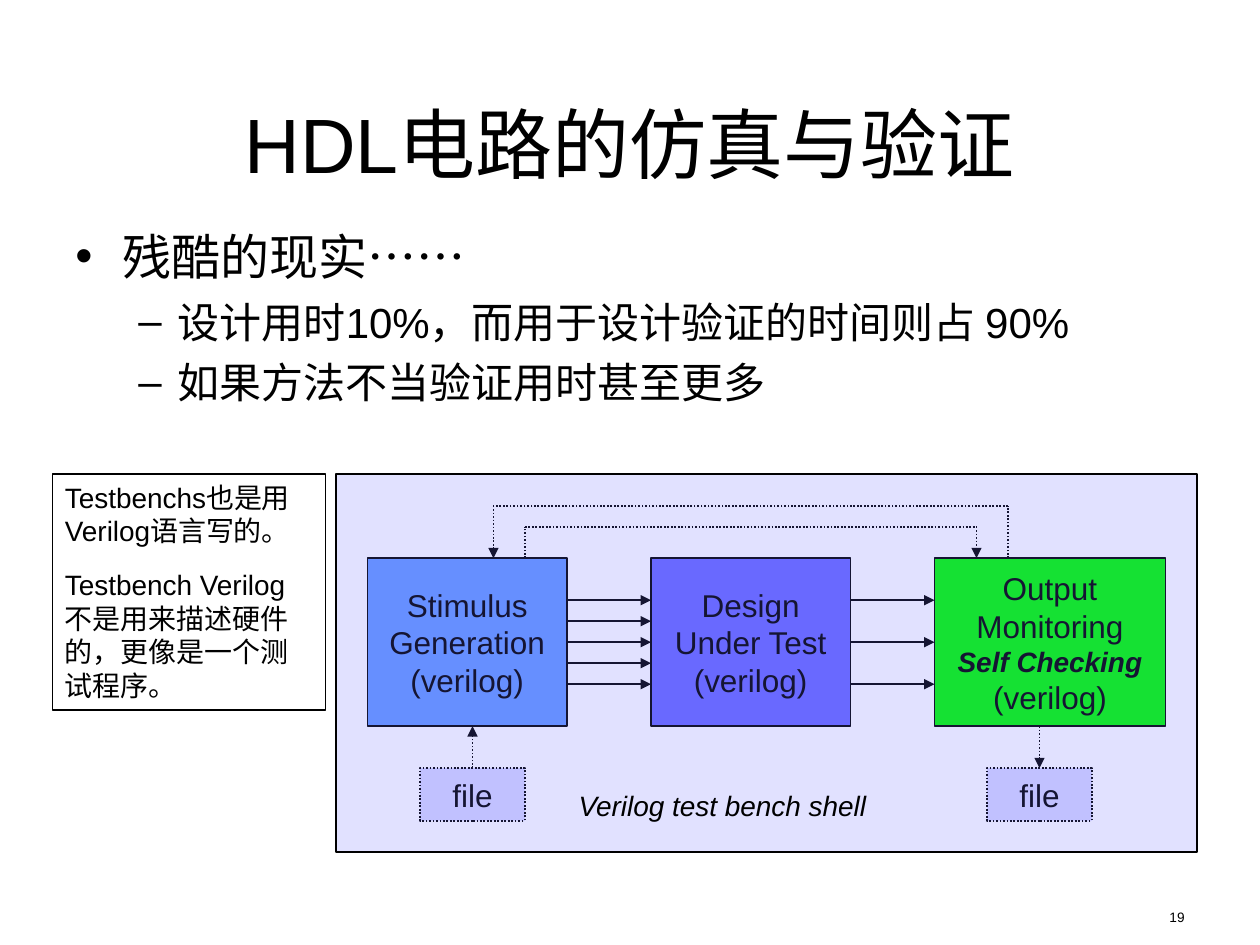
from pptx import Presentation
from pptx.dml.color import RGBColor
from pptx.enum.dml import MSO_LINE as DASH
from pptx.enum.shapes import MSO_CONNECTOR as CONN, MSO_SHAPE as SHAPE
from pptx.enum.text import MSO_ANCHOR as ANCHOR, PP_ALIGN as ALIGN
from pptx.oxml.ns import qn
from pptx.util import Pt
from lxml.etree import SubElement

TOP, LEFT, RIGHT = 0, 1, 3


def rgb(value):
    return RGBColor.from_string(value)


class Deck:
    font = "Arial"
    ink = "000000"

    def __init__(self, width, height):
        self.prs = Presentation()
        self.prs.slide_width, self.prs.slide_height = Pt(width), Pt(height)
        self.s = None

    def new_slide(self):
        self.s = self.prs.slides.add_slide(self.prs.slide_layouts[5])

    def format_font(self, font, **values):
        for name, value in {"name": self.font, **values}.items():
            setattr(font, name, value)
        font.color.rgb = rgb(self.ink)

    def set_lines(self, tf, lines, size, align=ALIGN.LEFT, anchor=ANCHOR.TOP, wrap=True, gap=0):
        for name, value in {"word_wrap": wrap, "vertical_anchor": anchor}.items():
            setattr(tf, name, value)
        for i, line in enumerate(lines):
            text, style = line if isinstance(line, tuple) else (line, {})
            p = tf.paragraphs[0] if i == 0 else tf.add_paragraph()
            p.alignment = align
            if i and gap:
                p.space_before = Pt(gap)
            r = p.add_run()
            r.text = text
            self.format_font(r.font, **{"size": Pt(size), **style})

    def title(self, box, text, size):
        sp = self.s.shapes.title
        sp.left, sp.top, sp.width, sp.height = map(Pt, box)
        self.set_lines(sp.text_frame, [text], size, ALIGN.CENTER, ANCHOR.BOTTOM)

    def text(self, box, lines, size, **layout):
        sp = self.s.shapes.add_textbox(*map(Pt, box))
        self.set_lines(sp.text_frame, lines, size, **layout)

    def bullets(self, box, items):
        levels = [("•", 28, 7, 27, -27), ("–", 24, 6, 58.5, -22.5)]
        tf = self.s.shapes.add_textbox(*map(Pt, box)).text_frame
        tf.word_wrap = True
        for i, (level, text) in enumerate(items):
            mark, size, before, margin, indent = levels[level]
            p = tf.paragraphs[0] if i == 0 else tf.add_paragraph()
            p.level = level
            if i:
                p.space_before = Pt(before)
            pPr = p._p.get_or_add_pPr()
            pPr.set("marL", str(Pt(margin)))
            pPr.set("indent", str(Pt(indent)))
            SubElement(pPr, qn("a:buFont"), typeface=self.font)
            SubElement(pPr, qn("a:buChar"), char=mark)
            r = p.add_run()
            r.text = text
            self.format_font(r.font, size=Pt(size))

    def outline(self, line, dotted):
        line.color.rgb = rgb(self.ink)
        line.width = Pt(1)
        if dotted:
            line.dash_style = DASH.ROUND_DOT

    def rect(self, box, fill=None, alpha=None, dotted=False, lines=(), size=18, **layout):
        sp = self.s.shapes.add_shape(SHAPE.RECTANGLE, *map(Pt, box))
        sp.shadow.inherit = False
        self.outline(sp.line, dotted)
        if fill:
            sp.fill.solid()
            sp.fill.fore_color.rgb = rgb(fill)
        else:
            sp.fill.background()
        if alpha:
            color = sp._element.spPr.find(qn("a:solidFill"))[0]
            SubElement(color, qn("a:alpha"), val=str(alpha * 1000))
        self.set_lines(sp.text_frame, lines, size, **layout)
        return sp

    def line(self, start, end, arrow=True, dotted=False, begin=None, finish=None):
        cxn = self.s.shapes.add_connector(CONN.STRAIGHT, *map(Pt, (*start, *end)))
        self.outline(cxn.line, dotted)
        if arrow:
            SubElement(cxn._element.spPr.find(qn("a:ln")), qn("a:tailEnd"), type="triangle")
        SubElement(cxn._element.spPr, qn("a:effectLst"))
        if begin:
            cxn.begin_connect(*begin)
        if finish:
            cxn.end_connect(*finish)

    def route(self, points):
        last = len(points) - 2
        for i, (start, end) in enumerate(zip(points, points[1:])):
            self.line(start, end, arrow=i == last, dotted=True)


def main():
    deck = Deck(720, 540)
    deck.new_slide()
    deck.title((36, 21.6, 648, 90), "HDL电路的仿真与验证", 44)
    deck.bullets((36, 126, 648, 150), [
        (0, "残酷的现实……"),
        (1, "设计用时10%，而用于设计验证的时间则占 90%"),
        (1, "如果方法不当验证用时甚至更多"),
    ])

    centered = {"align": ALIGN.CENTER, "anchor": ANCHOR.MIDDLE, "wrap": False}
    top, height = 319, 96
    middle, bottom = top + height / 2, top + height
    checking = ("Self Checking", {"size": Pt(16), "bold": True, "italic": True})
    stimulus, design, output = [
        deck.rect((left, top, width, height), fill, lines=lines, **centered)
        for left, width, fill, lines in [
            (210, 114, "6699FF", ["Stimulus", "Generation", "(verilog)"]),
            (372, 114, "6969FF", ["Design", "Under Test", "(verilog)"]),
            (534, 132, "00FF00", ["Output", "Monitoring", checking, "(verilog)"]),
        ]
    ]

    for source, target, x, offsets in [
        (stimulus, design, 324, (-24, -12, 0, 12, 24)),
        (design, output, 486, (-24, 0, 24)),
    ]:
        for dy in offsets:
            joined = dy == 0
            deck.line((x, middle + dy), (x + 48, middle + dy),
                      begin=(source, RIGHT) if joined else None,
                      finish=(target, LEFT) if joined else None)

    for start, end, y in [(300, 558, 301), (576, 282, 289)]:
        deck.route([(start, top), (start, y), (end, y), (end, top)])

    stimulus_file, output_file = [
        deck.rect((left, 439, 60, 30), "6969FF", alpha=26, dotted=True, lines=["file"], **centered)
        for left in (240, 564)
    ]
    deck.line((270, 439), (270, bottom), dotted=True, begin=(stimulus_file, TOP))
    deck.line((594, bottom), (594, 439), dotted=True, finish=(output_file, TOP))

    deck.rect((192, 271, 492, 216), "6969FF", alpha=20)
    deck.text((323.5, 447, 179, 27), [("Verilog test bench shell", {"italic": True})], 16, wrap=False)
    deck.rect((30, 271, 156, 134.6), size=16, gap=11.5, lines=[
        "Testbenchs也是用Verilog语言写的。",
        "Testbench Verilog不是用来描述硬件的，更像是一个测试程序。",
    ])
    deck.text((516, 516, 168, 18), ["19"], 7.8, align=ALIGN.RIGHT)
    deck.prs.save("out.pptx")


if __name__ == "__main__":
    main()
